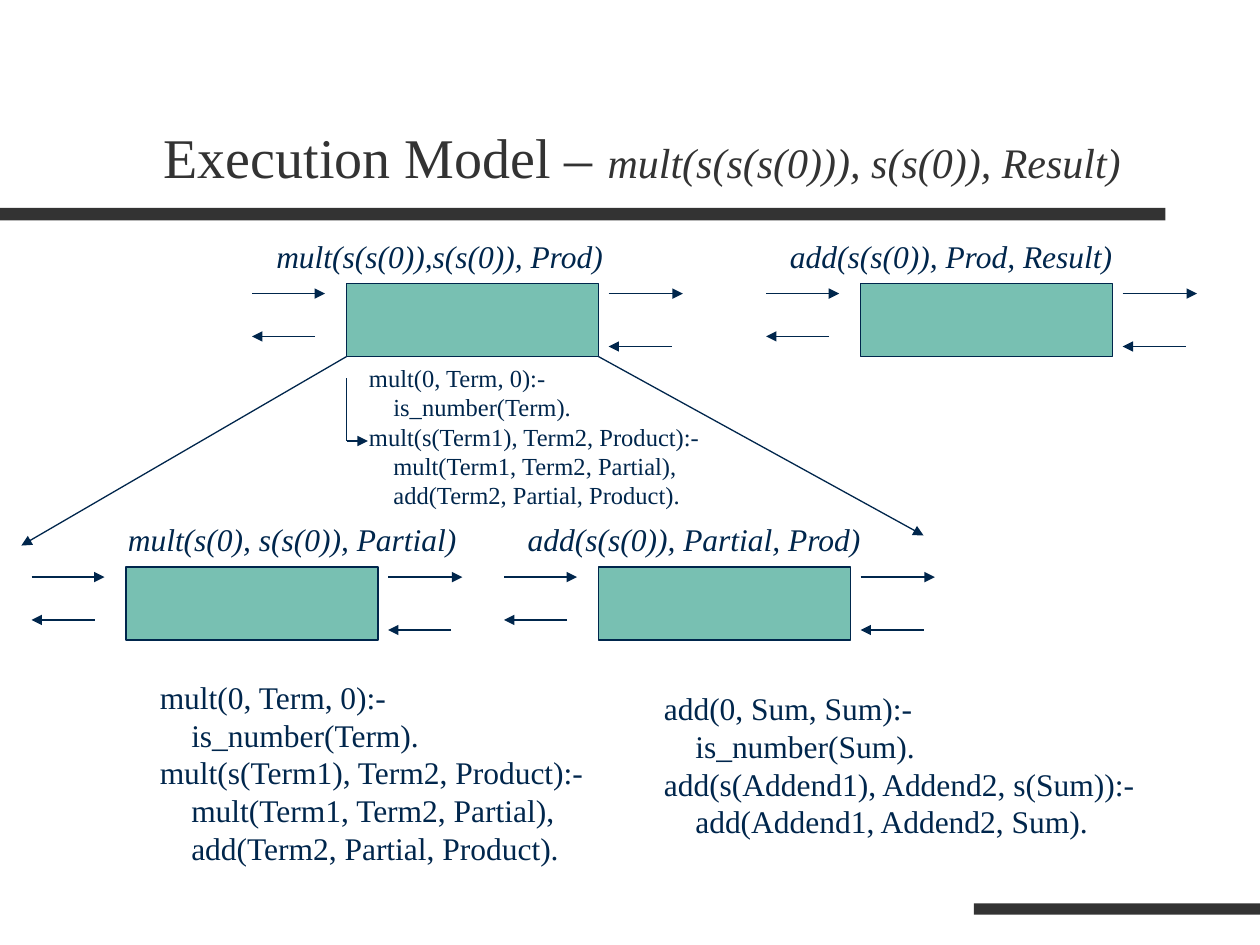
from pptx import Presentation
from pptx.dml.color import RGBColor
from pptx.enum.shapes import MSO_CONNECTOR, MSO_SHAPE
from pptx.enum.text import MSO_ANCHOR, MSO_AUTO_SIZE, PP_ALIGN
from pptx.oxml.ns import qn
from pptx.util import Inches, Pt
from lxml import etree

RECTANGLE = MSO_SHAPE.RECTANGLE
STRAIGHT = MSO_CONNECTOR.STRAIGHT
LEFT, CENTER = PP_ALIGN.LEFT, PP_ALIGN.CENTER
BOTTOM = MSO_ANCHOR.BOTTOM
NO_AUTOFIT = MSO_AUTO_SIZE.NONE

COLORS = {"bar": "333333", "ink": "00264C", "call": "78C0B2"}
FONT = "Times New Roman"
CALL_WIDTH, CALL_HEIGHT = 2, 0.58
LABEL_WIDTH, LABEL_HEIGHT = 2.84, 0.4

MULT_CODE = [
    "mult(0, Term, 0):-",
    "    is_number(Term).",
    "mult(s(Term1), Term2, Product):-",
    "    mult(Term1, Term2, Partial),",
    "    add(Term2, Partial, Product).",
]
ADD_CODE = [
    "add(0, Sum, Sum):-",
    "    is_number(Sum).",
    "add(s(Addend1), Addend2, s(Sum)):-",
    "    add(Addend1, Addend2, Sum).",
]
CALLS = [
    (2.75, 2.25, 3.49, "mult(s(s(0)),s(s(0)), Prod)"),
    (6.83, 2.25, 7.55, "add(s(s(0)), Prod, Result)"),
    (1, 4.5, 2.32, "mult(s(0), s(s(0)), Partial)"),
    (4.75, 4.5, 5.51, "add(s(s(0)), Partial, Prod)"),
]
PORTS = [
    ((-0.75, 0.08), (-0.17, 0.08)),
    ((2.08, 0.08), (2.67, 0.08)),
    ((-0.25, 0.42), (-0.75, 0.42)),
    ((2.58, 0.5), (2.08, 0.5)),
]


def color(name):
    return RGBColor.from_string(COLORS[name])


def format_span(span, ink="ink", **values):
    span.font.color.rgb = color(ink)
    for name, value in {"name": FONT, **values}.items():
        setattr(span.font, name, value)


def add_rectangle(shapes, left, top, width, height, fill, outline=None):
    box = shapes.add_shape(
        RECTANGLE, Inches(left), Inches(top), Inches(width), Inches(height)
    )
    box.shadow.inherit = False
    box.fill.solid()
    box.fill.fore_color.rgb = color(fill)
    if outline:
        box.line.color.rgb = color(outline)
        box.line.width = Pt(0.75)
    else:
        box.line.fill.background()


def add_line(shapes, start, end, arrow=True):
    line = shapes.add_connector(STRAIGHT, *(Inches(n) for n in (*start, *end)))
    line.line.color.rgb = color("ink")
    line.line.width = Pt(0.75)
    if arrow:
        outline = line.line._get_or_add_ln()
        etree.SubElement(outline, qn("a:tailEnd"), type="triangle")
    etree.SubElement(line._element.spPr, qn("a:effectLst"))


def add_text(page, left, top, width, height, lines, size=18, italic=False,
             align=LEFT, wrap=False):
    box = page.shapes.add_textbox(
        Inches(left), Inches(top), Inches(width), Inches(height)
    )
    frame = box.text_frame
    frame.word_wrap = wrap
    for index, line in enumerate(lines):
        para = frame.add_paragraph() if index else frame.paragraphs[0]
        para.alignment = align
        span = para.add_run()
        span.text = line
        format_span(span, size=Pt(size), italic=italic)


def add_title(page):
    title = page.shapes.title
    place = {"left": 1.2, "top": 0.31, "width": 8.5, "height": 1.25}
    for name, value in place.items():
        setattr(title, name, Inches(value))
    frame = title.text_frame
    frame.auto_size = NO_AUTOFIT
    frame.vertical_anchor = BOTTOM
    para = frame.paragraphs[0]
    para.alignment = LEFT
    for text, size, italic in [
        ("Execution Model – ", 32, False),
        ("mult(s(s(s(0))), s(s(0)), Result)", 24, True),
    ]:
        span = para.add_run()
        span.text = text
        format_span(span, "bar", size=Pt(size), italic=italic)


def add_call(page, left, top):
    group = page.shapes.add_group_shape()
    add_rectangle(group.shapes, left, top, CALL_WIDTH, CALL_HEIGHT, "call", "ink")
    for start, end in PORTS:
        add_line(
            group.shapes,
            (left + start[0], top + start[1]),
            (left + end[0], top + end[1]),
        )


def main():
    deck = Presentation()
    deck.slide_width, deck.slide_height = Inches(10), Inches(7.5)
    page = deck.slides.add_slide(deck.slide_layouts[5])

    add_rectangle(page.shapes, 0, 1.65, 9.25, 0.1, "bar")
    add_rectangle(page.shapes, 7.73, 7.17, 2.27, 0.09, "bar")
    add_title(page)

    for left, top, middle, label in CALLS:
        add_call(page, left, top)
        add_text(page, middle - LABEL_WIDTH / 2, top - 0.42, LABEL_WIDTH,
                 LABEL_HEIGHT, [label], italic=True, align=CENTER)

    add_line(page.shapes, (2.75, 2.83), (0.17, 4.33))
    add_line(page.shapes, (4.75, 2.83), (7.33, 4.25))

    add_text(page, 1.17, 5.33, 3.6, 1.6, MULT_CODE)
    add_text(page, 5.17, 5.42, 3.95, 1.3, ADD_CODE)
    add_text(page, 2.83, 2.83, 3.24, 1.5, MULT_CODE, size=14, wrap=True)

    add_line(page.shapes, (2.75, 3), (2.75, 3.5), arrow=False)
    add_line(page.shapes, (2.75, 3.5), (2.92, 3.5))

    deck.save("out.pptx")


if __name__ == "__main__":
    main()
